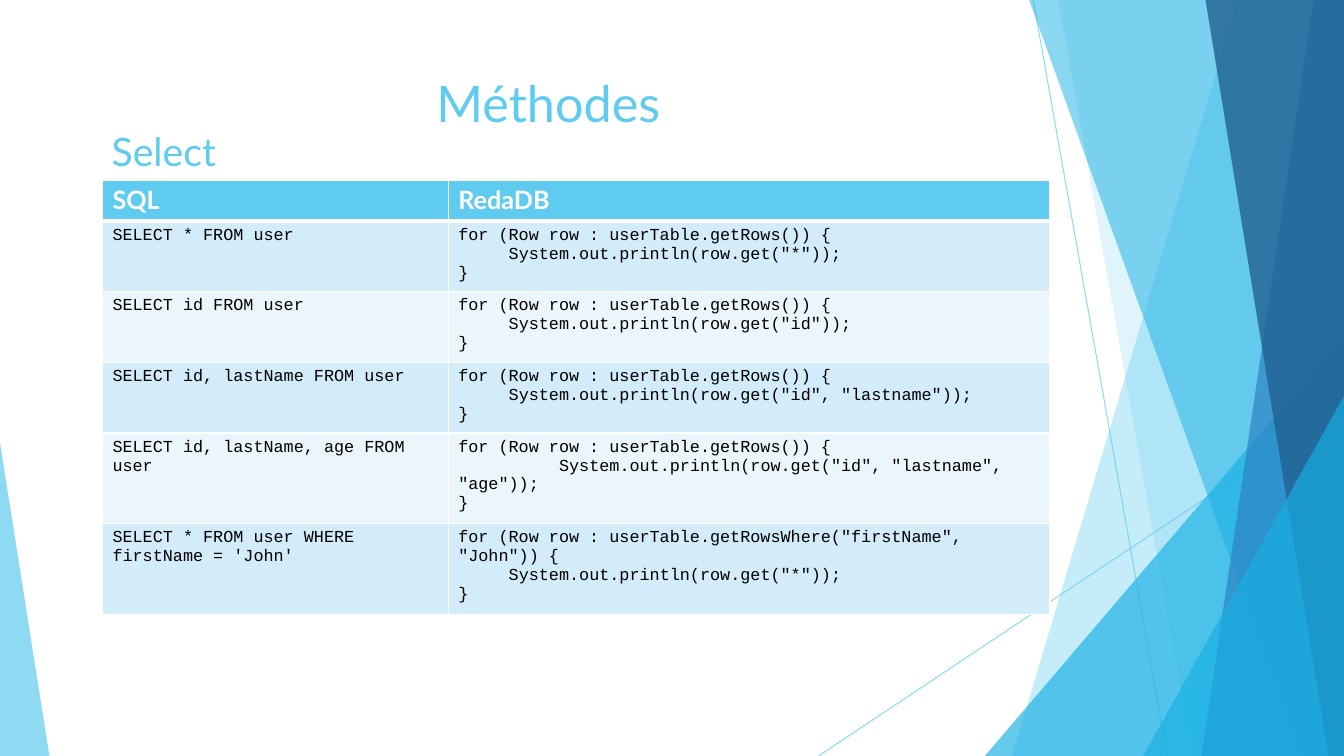
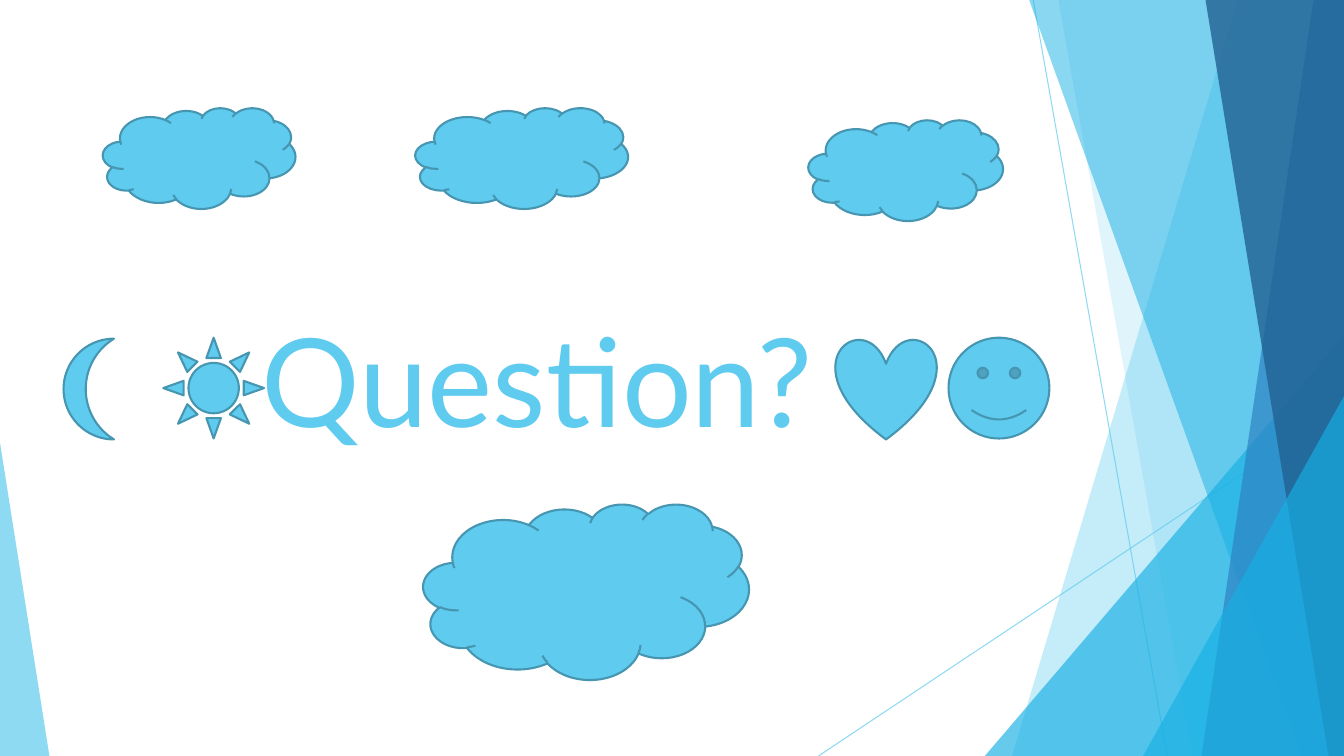
from dataclasses import dataclass

from lxml import etree
from pptx import Presentation
from pptx import util as u
from pptx.dml.color import RGBColor
from pptx.enum import shapes, text
from pptx.oxml import ns

SHAPE = shapes.MSO_SHAPE
ALIGN = text.PP_ALIGN
ANCHOR = text.MSO_ANCHOR


@dataclass(frozen=True)
class Theme:
    sky: str = "5FCBEF"
    azure: str = "17B0E4"
    blue: str = "2E83C3"
    navy: str = "226292"
    outline: str = "4696B1"
    white: str = "FFFFFF"
    black: str = "000000"
    stripes: tuple = ("D2ECF9", "EAF6FC")
    font: str = "Lato"
    code_font: str = "Courier New"
    title: int = 36
    subtitle: int = 28
    giant: int = 88
    header: int = 18
    code: int = 12


T = Theme()
W, H = u.Emu(12192000), u.Inches(7.5)


# Lengths are percentages of the slide's width and height
def px(share):
    return u.Emu(round(W * share / 100))


def py(share):
    return u.Emu(round(H * share / 100))


def box(x, y, w, h):
    return px(x), py(y), px(w), py(h)


def rgb(color):
    return RGBColor.from_string(color)


def set_alpha(sp, opacity):
    """Make the first colour of the shape partly transparent."""
    clr = next(sp._element.spPr.iter(ns.qn("a:srgbClr")))
    etree.SubElement(clr, ns.qn("a:alpha")).set("val", str(opacity * 1000))


def paint(sp, fill, opacity=None, line=None):
    sp.shadow.inherit = False
    sp.fill.solid()
    sp.fill.fore_color.rgb = rgb(fill)
    if opacity:
        set_alpha(sp, opacity)
    if line:
        sp.line.color.rgb = rgb(line)
        sp.line.width = u.Pt(1.5)
    else:
        sp.line.fill.background()


def write(tf, content, size, color=T.sky, font=T.font, bold=False,
          align=ALIGN.LEFT, anchor=ANCHOR.TOP):
    """Write one paragraph for each line of the content."""
    tf.word_wrap = True
    tf.vertical_anchor = anchor
    for i, row in enumerate(content.split("\n")):
        p = tf.paragraphs[0] if i == 0 else tf.add_paragraph()
        p.alignment = align
        r = p.add_run()
        r.text = row
        r.font.size, r.font.name, r.font.bold = u.Pt(size), font, bold
        r.font.color.rgb = rgb(color)


def heading(s, area, content, size, **fmt):
    tf = s.shapes.add_textbox(*box(*area)).text_frame
    write(tf, content, size, align=ALIGN.CENTER, **fmt)


# Backdrop shared by the slides
def ray(s, x1, y1, x2, y2):
    ln = s.shapes.add_connector(shapes.MSO_CONNECTOR.STRAIGHT,
                                px(x1), py(y1), px(x2), py(y2))
    ln.line.color.rgb = rgb(T.sky)
    ln.line.width = u.Pt(0.75)
    set_alpha(ln, 70)
    etree.SubElement(ln._element.spPr, ns.qn("a:effectLst"))


def band(s, top, bottom, color, opacity):
    """Fill from a slanted left edge to the right side of the slide."""
    fb = s.shapes.build_freeform(px(top), 0)
    fb.add_line_segments([(W, 0), (W, H), (px(bottom), H)], close=True)
    paint(fb.convert_to_shape(), color, opacity)


def wedge(s, x, y, w, apex, color, opacity):
    """Draw a triangle that stands on the bottom edge."""
    sp = s.shapes.add_shape(SHAPE.ISOSCELES_TRIANGLE, *box(x, y, w, 100 - y))
    sp.adjustments[0] = apex
    paint(sp, color, opacity)


def backdrop(s):
    ray(s, 76.88, 0, 86.85, 100)
    ray(s, 100, 53.73, 60.9, 100)
    band(s, 92.1, 75.3, T.sky, 36)
    band(s, 78.75, 88.73, T.sky, 20)
    wedge(s, 73.28, 44.4, 26.72, 1, T.azure, 66)
    band(s, 76.58, 96.83, T.azure, 50)
    band(s, 97.73, 89.4, T.blue, 70)
    band(s, 89.7, 98.85, T.navy, 80)
    wedge(s, 85.05, 52.4, 14.95, 1, T.azure, 66)
    wedge(s, 0, 58.53, 3.68, 0, T.sky, 70)


# Table parts
def borders(cell, top, bottom):
    tcPr = cell._tc.get_or_add_tcPr()
    widths = {"lnL": 1, "lnR": 1, "lnT": top, "lnB": bottom}
    for i, (side, width) in enumerate(widths.items()):
        ln = etree.Element(ns.qn("a:" + side), w=str(u.Pt(width)))
        fill = etree.SubElement(ln, ns.qn("a:solidFill"))
        etree.SubElement(fill, ns.qn("a:srgbClr"), val=T.white)
        tcPr.insert(i, ln)


def code_table(s, x, y, widths, row_height, rows):
    table = s.shapes.add_table(len(rows), len(widths), *box(
        x, y, sum(widths), row_height * len(rows))).table
    for col, width in zip(table.columns, widths):
        col.width = px(width)
    for i, row in enumerate(rows):
        table.rows[i].height = py(row_height)
        for j, content in enumerate(row):
            cell = table.cell(i, j)
            cell.fill.solid()
            if i == 0:
                cell.fill.fore_color.rgb = rgb(T.sky)
                write(cell.text_frame, content, T.header, T.white, bold=True)
            else:
                cell.fill.fore_color.rgb = rgb(T.stripes[(i - 1) % 2])
                write(cell.text_frame, content, T.code, T.black, T.code_font)
            borders(cell, top=3 if i == 1 else 1, bottom=3 if i == 0 else 1)


def loop(args, call="getRows()", indent="\t"):
    """Java loop that prints the chosen fields of each row."""
    return (f"for (Row row : userTable.{call}) {{\n"
            f"{indent}System.out.println(row.get({args}));\n}}")


def icon(s, kind, x, y, w=7.5, h=13.33):
    sp = s.shapes.add_shape(kind, *box(x, y, w, h))
    paint(sp, T.sky, line=T.outline)
    return sp


# Slides
def methods_slide(s):
    heading(s, (5.55, 8.93, 70.5, 10.53), "Méthodes", T.title)
    heading(s, (3, 16.13, 18.38, 7.6), "Select", T.subtitle)
    code_table(s, 7.62, 23.8, (25.73, 44.78), 5.47, [
        ("SQL", "RedaDB"),
        ("SELECT * FROM user", loop('"*"')),
        ("SELECT id FROM user", loop('"id"')),
        ("SELECT id, lastName FROM user", loop('"id", "lastname"')),
        ("SELECT id, lastName, age FROM user",
         loop('"id", "lastname", "age"', indent="\t\t")),
        ("SELECT * FROM user WHERE firstName = 'John'",
         loop('"*"', call='getRowsWhere("firstName", "John")')),
    ])


def question_slide(s):
    heading(s, (4.73, 6, 70.5, 88.13), "Question?", T.giant,
            anchor=ANCHOR.MIDDLE)
    icon(s, SHAPE.HEART, 62.18, 44.8)
    icon(s, SHAPE.SMILEY_FACE, 70.58, 44.67)
    icon(s, SHAPE.SUN, 12.15, 44.67)
    for cloud in ((7.65, 14.27, 14.33), (30.9, 14.27, 15.83),
                  (31.5, 66.67, 24.23, 23.2), (60.15, 15.87, 14.48)):
        icon(s, SHAPE.CLOUD, *cloud)
    moon = icon(s, SHAPE.MOON, 4.73, 44.8, w=3.75)
    moon.adjustments[0] = 0.44


def main():
    prs = Presentation()
    prs.slide_width, prs.slide_height = W, H
    for build in (methods_slide, question_slide):
        s = prs.slides.add_slide(prs.slide_layouts[6])
        backdrop(s)
        build(s)
    prs.save("out.pptx")


main()
